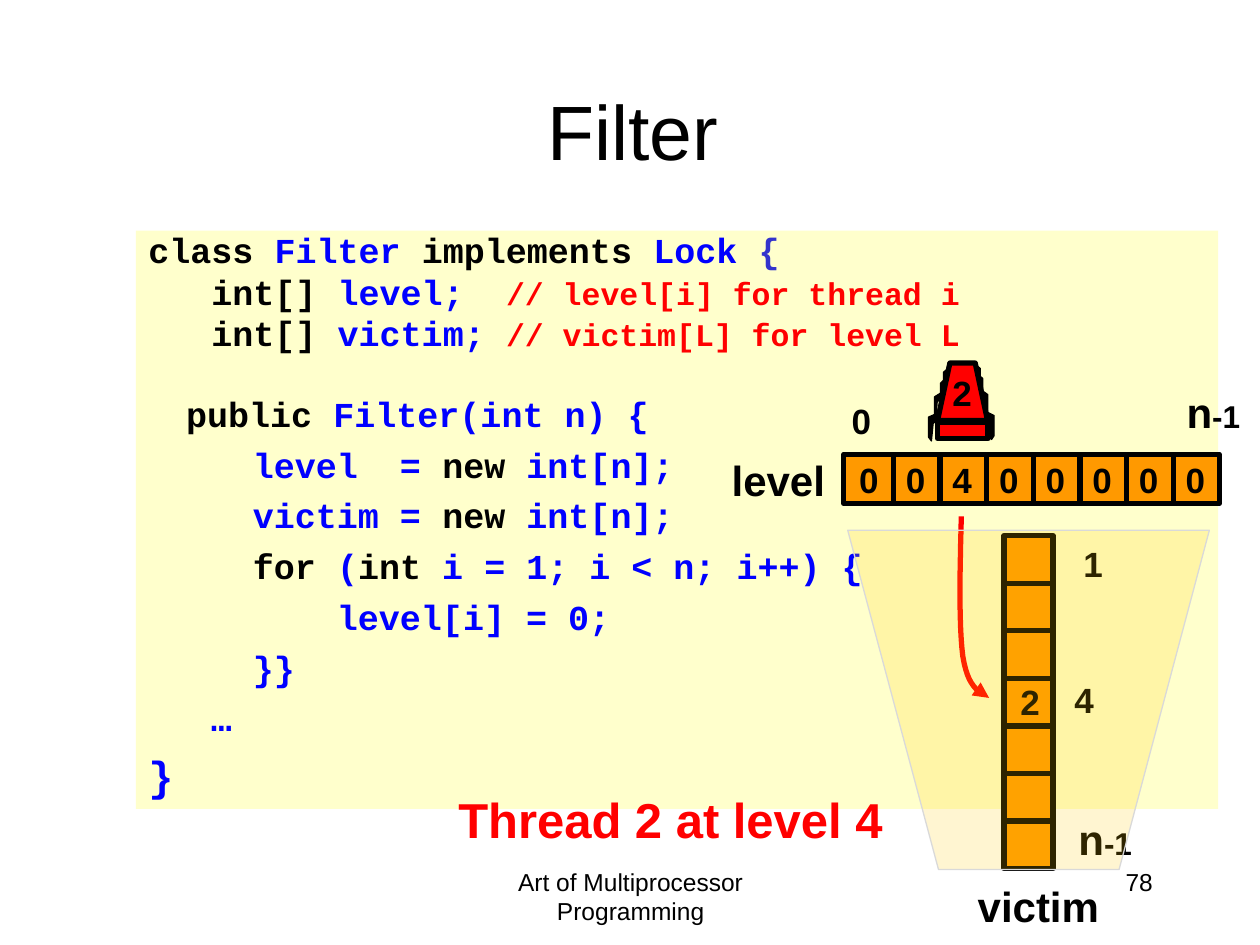
import pptx
import pptx.util
import pptx.dml.color
import pptx.enum.shapes
import pptx.enum.text
import pptx.oxml
import pptx.oxml.ns

Cm = pptx.util.Cm
Pt = pptx.util.Pt
RGBColor = pptx.dml.color.RGBColor
Align = pptx.enum.text.PP_ALIGN
RECTANGLE = pptx.enum.shapes.MSO_SHAPE.RECTANGLE
STRAIGHT = pptx.enum.shapes.MSO_CONNECTOR.STRAIGHT

BLACK = RGBColor(0, 0, 0)
BLUE = RGBColor(0, 0, 255)
INDIGO = RGBColor(0x33, 0x33, 0xCC)
RED = RGBColor(255, 0, 0)
ORANGE = RGBColor(0xFF, 0x99, 0)
CREAM = RGBColor(0xFF, 0xFF, 0xCC)
GOLD = RGBColor(0xFF, 0xCC, 0)
GREY = RGBColor(0xD9, 0xD9, 0xD9)

OUTER, INNER = (0.64, 0.8), (1.9, 1)
CODE = [
    (OUTER, 0, [("class ", BLACK, 20), ("Filter ", BLUE, 20), ("implements ", BLACK, 20),
                ("Lock ", BLUE, 20), ("{", INDIGO, 20)]),
    (OUTER, 4.5, [("   int[] ", BLACK, 20), ("level;  ", BLUE, 20),
                  ("// level[i] for thread i", RED, 18)]),
    (OUTER, 4.5, [("   int[] ", BLACK, 20), ("victim; ", BLUE, 20),
                  ("// victim[L] for level L", RED, 18)]),
    (OUTER, 27, [("  ", RED, 18), ("public", BLACK, 20), (" Filter(int n) {", BLUE, 20)]),
    (INNER, 5, [("  level  = ", BLUE, 20), ("new", BLACK, 20), (" int[n];", BLUE, 20)]),
    (INNER, 5, [("  victim = ", BLUE, 20), ("new", BLACK, 20), (" int[n];", BLUE, 20)]),
    (INNER, 5, [("  ", BLUE, 20), ("for ", BLACK, 20), ("(", BLUE, 20), ("int ", BLACK, 20),
                ("i = 1; i < n; i++) {", BLUE, 20)]),
    (INNER, 5, [("      level[i] = 0;", BLUE, 20)]),
    (INNER, 5, [("  }}", BLUE, 20)]),
    (INNER, 5, [("…", BLUE, 20)]),
    ((0.64, 1), 6, [("}", BLUE, 24)]),
]

LEVELS = "00400000"
PITCH = 0.94
LEVEL_ROW = (17.01, 9.16, 7.57, 0.99)
VICTIM_COLUMN = (20.24, 10.8, 0.99, 6.71)
VICTIM_CELLS = 7

DIGIT = (0.95, 1.12)
LAST_INDEX = [("n", BLACK, 24), ("-1", BLACK, 18)]
LABELS = [
    ((14.5, 9.04, 2.5, 1.27), [("level", BLACK, 24)]),
    ((19.46, 17.63, 3.1, 1.27), [("victim", BLACK, 24)]),
    ((23.67, 7.67, 1.7, 1.27), LAST_INDEX),
    ((21.49, 16.28, 1.7, 1.27), LAST_INDEX),
    ((16.92, 7.92, *DIGIT), [("0", BLACK, 20)]),
    ((21.59, 10.82, *DIGIT), [("1", BLACK, 20)]),
    ((20.32, 13.59, *DIGIT), [("2", BLACK, 20)]),
    ((21.41, 13.56, *DIGIT), [("4", BLACK, 20)]),
    ((18.95, 7.37, *DIGIT), [("2", BLACK, 20)]),
    ((8.99, 15.8, 9.3, 1.45), [("Thread 2 at level 4", RED, 28)]),
] + [((17.07 + PITCH * i, 9.12, *DIGIT), [(value, BLACK, 20)])
     for i, value in enumerate(LEVELS)]

FOOTERS = [
    ((8.69, 17.35, 8.05, 1.27), "Art of Multiprocessor Programming", Align.CENTER),
    ((18.21, 17.35, 5.28, 1.27), "78", Align.RIGHT),
]

FIN = [(0, 0), (1, 0.17), (1, 0.87), (0.75, 1), (0.6, 0.4), (0, 0.17)]
FIN_BOXES = [
    (19.84, 8.28, 0.2, 0.58), (19.79, 7.87, 0.12, 0.49),
    (19.74, 7.57, 0.07, 0.35), (19.69, 7.37, 0.07, 0.33),
    (18.95, 8.31, -0.23, 0.58), (18.97, 7.92, -0.13, 0.48),
    (19.1, 7.44, -0.08, 0.38), (19.02, 7.67, -0.06, 0.33),
]
THREAD_BODY = [(18.9, 8.48), (19.15, 7.32), (19.66, 7.32), (19.91, 8.48)]
THREAD_BASE = (18.9, 8.51, 1.02, 0.33)
FUNNEL = [(17.09, 10.69), (18.92, 17.53), (22.56, 17.53), (24.38, 10.69)]
ARROW_CURVES = [
    [(19.38, 10.41), (19.35, 11.53), (19.33, 12.62), (19.41, 13.23)],
    [(19.41, 13.23), (19.51, 13.84), (19.71, 13.94), (19.94, 14.07)],
]


def lengths(values):
    return [Cm(value) for value in values]


def paint(shape, fill, line, width):
    shape.shadow.inherit = False
    if fill is None:
        shape.fill.background()
    else:
        shape.fill.solid()
        shape.fill.fore_color.rgb = fill
    if line is None:
        shape.line.fill.background()
    else:
        shape.line.color.rgb = line
        shape.line.width = Pt(width)
    return shape


def add_rectangle(page, place, fill, line=BLACK):
    return paint(page.shapes.add_shape(RECTANGLE, *lengths(place)), fill, line, 3)


def add_outline(page, points, fill, line, width, close=True):
    corners = [lengths(point) for point in points]
    builder = page.shapes.build_freeform(*corners[0])
    builder.add_line_segments(corners[1:], close=close)
    return paint(builder.convert_to_shape(), fill, line, width)


def add_divider(page, *ends):
    line = page.shapes.add_connector(STRAIGHT, *lengths(ends))
    line.line.color.rgb = BLACK
    line.line.width = Pt(3)
    line._element.spPr.append(pptx.oxml.parse_xml(
        f'<a:effectLst {pptx.oxml.ns.nsdecls("a")}/>'))


def format_font(font, name, size, color, bold=False):
    font.name, font.size, font.bold = name, Pt(size), bold
    font.color.rgb = color


def add_spans(para, spans, font_name):
    for text, color, size in spans:
        span = para.add_run()
        span.text = text
        format_font(span.font, font_name, size, color, bold=True)


def add_text_frame(page, place):
    frame = page.shapes.add_textbox(*lengths(place)).text_frame
    frame.word_wrap = True
    return frame


def add_code(page):
    frame = add_rectangle(page, (2.74, 4.65, 21.82, 11.66), CREAM, None).text_frame
    frame.word_wrap = True
    frame.vertical_anchor = pptx.enum.text.MSO_ANCHOR.TOP
    for number, ((margin, spacing), before, spans) in enumerate(CODE):
        para = frame.add_paragraph() if number else frame.paragraphs[0]
        properties = para._p.get_or_add_pPr()
        properties.set("marL", str(Cm(margin)))
        properties.set("indent", str(Cm(-0.64)))
        para.alignment = Align.LEFT
        para.line_spacing = spacing
        para.space_before = Pt(before)
        add_spans(para, spans, "Courier New")


def add_arrays(page):
    left, top, width, height = VICTIM_COLUMN
    add_rectangle(page, VICTIM_COLUMN, ORANGE)
    for cell in range(1, VICTIM_CELLS):
        y = top + height * cell / VICTIM_CELLS
        add_divider(page, left, y, left + width, y)
    left, top, width, height = LEVEL_ROW
    add_rectangle(page, LEVEL_ROW, ORANGE)
    for cell in range(1, len(LEVELS)):
        x = left + 0.06 + PITCH * cell
        add_divider(page, x, top, x, top + height)


def add_thread(page):
    for left, top, width, height in FIN_BOXES:
        fin = [(left + width * x, top + height * y) for x, y in FIN]
        add_outline(page, fin, BLACK, BLACK, 0.75)
    add_outline(page, THREAD_BODY, RED, BLACK, 3)
    add_rectangle(page, THREAD_BASE, RED)


def curve_point(controls, t):
    weights = ((1 - t) ** 3, 3 * t * (1 - t) ** 2, 3 * t * t * (1 - t), t ** 3)
    return [sum(w * c for w, c in zip(weights, axis)) for axis in zip(*controls)]


def add_arrow(page):
    points = [curve_point(curve, step / 12) for curve in ARROW_CURVES for step in range(13)]
    arrow = add_outline(page, points, None, RED, 3, close=False)
    arrow.line._get_or_add_ln().append(pptx.oxml.parse_xml(
        f'<a:tailEnd {pptx.oxml.ns.nsdecls("a")} type="triangle"/>'))


def add_funnel(page):
    funnel = add_outline(page, FUNNEL, GOLD, GREY, 0.75)
    color = funnel._element.spPr.find(".//" + pptx.oxml.ns.qn("a:srgbClr"))
    color.append(pptx.oxml.parse_xml(
        f'<a:alpha {pptx.oxml.ns.nsdecls("a")} val="18000"/>'))


def main():
    deck = pptx.Presentation()
    deck.slide_width, deck.slide_height = Cm(25.4), Cm(19.05)
    page = deck.slides.add_slide(deck.slide_layouts[5])

    title = page.shapes.title
    title.left, title.top, title.width, title.height = lengths((1.96, 1.02, 21.59, 3.18))
    title.text_frame.text = "Filter"
    title.text_frame.vertical_anchor = pptx.enum.text.MSO_ANCHOR.MIDDLE
    title.text_frame.paragraphs[0].alignment = Align.CENTER
    format_font(title.text_frame.paragraphs[0].runs[0].font, "Arial", 44, BLACK)

    for place, text, alignment in FOOTERS:
        frame = add_text_frame(page, place)
        frame.text = text
        frame.paragraphs[0].alignment = alignment
        format_font(frame.paragraphs[0].runs[0].font, "Arial", 14, BLACK)

    add_code(page)
    add_arrays(page)
    add_thread(page)
    add_arrow(page)
    for place, spans in LABELS:
        add_spans(add_text_frame(page, place).paragraphs[0], spans, "Arial")
    add_funnel(page)
    deck.save("out.pptx")


if __name__ == "__main__":
    main()
